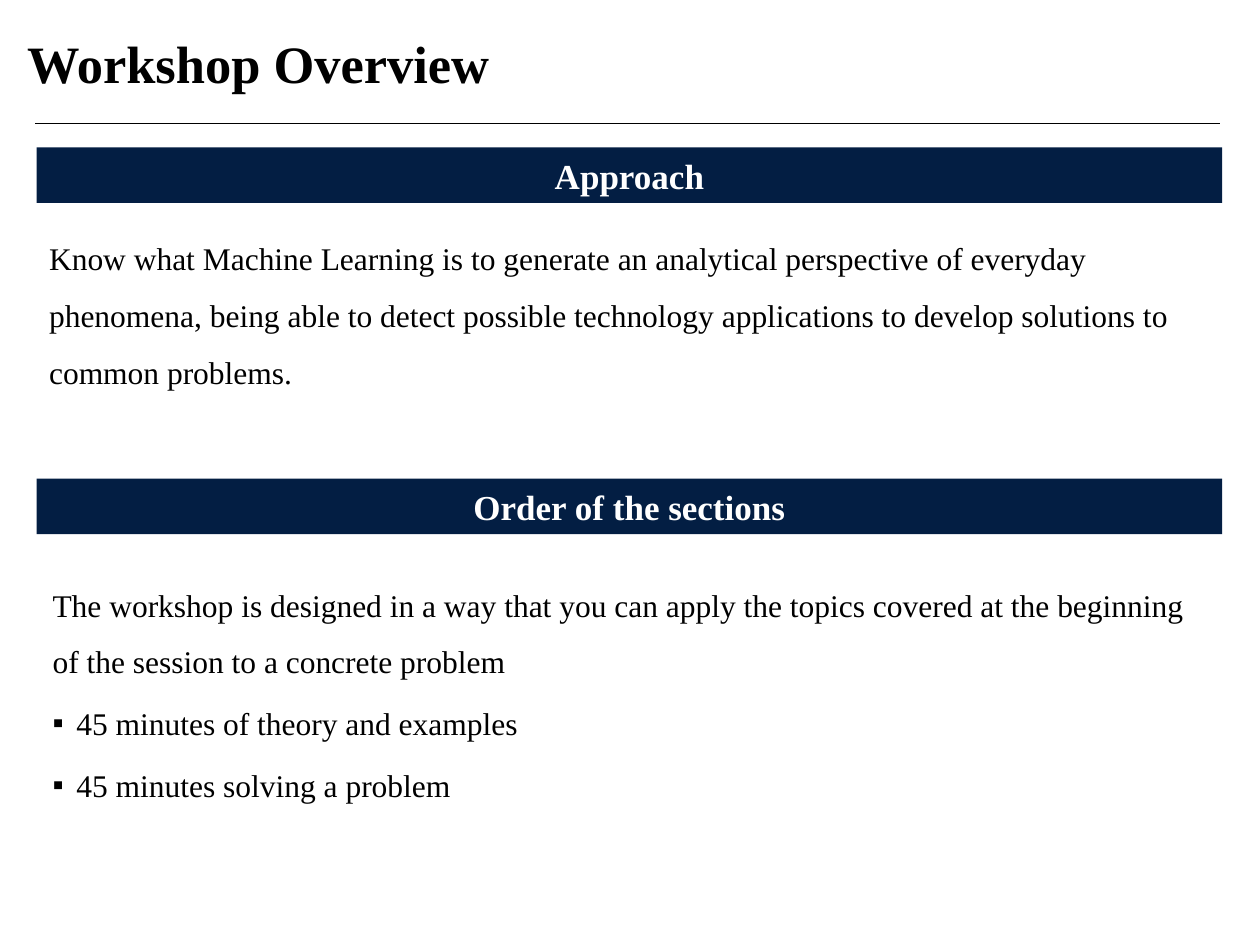
from lxml.etree import SubElement
from pptx import Presentation
from pptx.dml.color import RGBColor
from pptx.enum.shapes import MSO_CONNECTOR, MSO_SHAPE
from pptx.enum.text import MSO_ANCHOR, PP_ALIGN
from pptx.oxml.ns import qn
from pptx.util import Cm, Pt

COLORS = {"navy": "031E43", "black": "000000", "white": "FFFFFF"}
FONT = "Times New Roman"
TITLE = "Workshop Overview"

# Positions and sizes in cm; each body is (left, top, height)
SECTIONS = [
    {
        "heading": "Approach",
        "top": 2.97,
        "body": (0.74, 4.32, 3.68),
        "text": "Know what Machine Learning is to generate an analytical perspective of "
                "everyday phenomena, being able to detect possible technology applications "
                "to develop solutions to common problems.",
        "bullets": [],
    },
    {
        "heading": "Order of the sections",
        "top": 9.65,
        "body": (0.81, 11.3, 5.03),
        "text": "The workshop is designed in a way that you can apply the topics covered "
                "at the beginning of the session to a concrete problem",
        "bullets": ["45 minutes of theory and examples", "45 minutes solving a problem"],
    },
]
LEFT, WIDTH, BAR_HEIGHT = 0.74, 23.9, 1.12
RULE_LEFT, RULE_RIGHT, RULE_Y = 0.71, 24.59, 2.49
BULLET_INDENT = 0.48


def color(name):
    return RGBColor.from_string(COLORS[name])


def style(p, size, name="black", bold=False):
    for r in p.runs:
        r.font.name = FONT
        r.font.size = Pt(size)
        r.font.bold = bold
        r.font.color.rgb = color(name)


def add_bullet(p):
    pPr = p._p.get_or_add_pPr()
    pPr.set("marL", str(Cm(BULLET_INDENT)))
    pPr.set("indent", str(-Cm(BULLET_INDENT)))
    bu_color = SubElement(pPr, qn("a:buClr"))
    SubElement(bu_color, qn("a:srgbClr")).set("val", COLORS["black"])
    SubElement(pPr, qn("a:buFont")).set("typeface", FONT)
    SubElement(pPr, qn("a:buChar")).set("char", "▪")


def add_title(s):
    tf = s.shapes.add_textbox(Cm(0.3), Cm(0.51), Cm(12.14), Cm(1.52)).text_frame
    tf.word_wrap = False
    tf.text = TITLE
    style(tf.paragraphs[0], 30, bold=True)


def add_rule(s):
    line = s.shapes.add_connector(MSO_CONNECTOR.STRAIGHT, Cm(RULE_LEFT), Cm(RULE_Y),
                                  Cm(RULE_RIGHT), Cm(RULE_Y))
    line.line.color.rgb = color("black")
    line.line.width = Pt(0.5)
    SubElement(line._element.spPr, qn("a:effectLst"))


def add_heading(s, text, top):
    sp = s.shapes.add_shape(MSO_SHAPE.RECTANGLE, Cm(LEFT), Cm(top), Cm(WIDTH), Cm(BAR_HEIGHT))
    sp.shadow.inherit = False
    sp.fill.solid()
    sp.fill.fore_color.rgb = color("navy")
    sp.line.fill.background()
    tf = sp.text_frame
    tf.vertical_anchor = MSO_ANCHOR.MIDDLE
    tf.text = text
    p = tf.paragraphs[0]
    p.alignment = PP_ALIGN.CENTER
    style(p, 20, "white", bold=True)


def add_body(s, section):
    left, top, height = section["body"]
    tf = s.shapes.add_textbox(Cm(left), Cm(top), Cm(WIDTH), Cm(height)).text_frame
    tf.word_wrap = True
    tf.text = "\n".join([section["text"], *section["bullets"]])
    for i, p in enumerate(tf.paragraphs):
        p.line_spacing = 1.5
        p.space_after = Pt(3)
        style(p, 18)
        if i > 0:
            add_bullet(p)


def main():
    prs = Presentation()
    prs.slide_width, prs.slide_height = Cm(25.4), Cm(19.05)
    s = prs.slides.add_slide(prs.slide_layouts[6])
    add_rule(s)
    add_title(s)
    for section in SECTIONS:
        add_heading(s, section["heading"], section["top"])
        add_body(s, section)
    prs.save("out.pptx")


if __name__ == "__main__":
    main()
